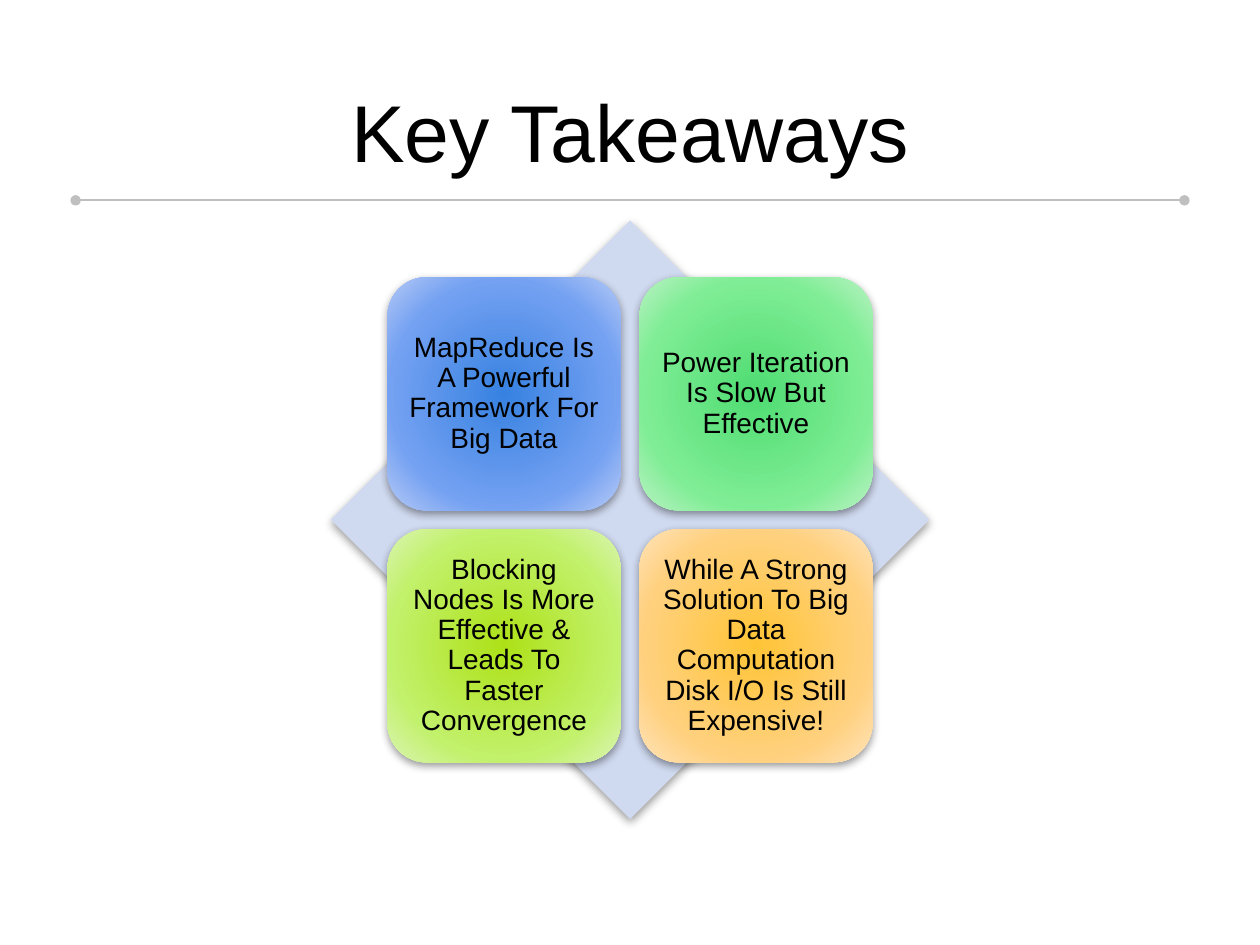
"""Build the Key Takeaways slide: four cards laid over a diamond."""
from pptx import Presentation, util as u
from pptx.dml.color import RGBColor
from pptx.enum import shapes, text
from pptx.oxml import parse_xml
from pptx.oxml.ns import nsdecls, qn

BLACK = RGBColor(0x00, 0x00, 0x00)
RULE_GRAY = RGBColor(0xBF, 0xBF, 0xBF)
PALE_BLUE = RGBColor(0xCF, 0xD9, 0xEF)
BLUES = [RGBColor.from_string(c) for c in ("3782E1", "74A1F2", "B6CAF5")]
GREENS = [RGBColor.from_string(c) for c in ("4FDC72", "7FED95", "BBF2C4")]
LIMES = [RGBColor.from_string(c) for c in ("ADE117", "C2F16C", "DBF4B3")]
ORANGES = [RGBColor.from_string(c) for c in ("FFC436", "FFD17F", "FFE3BB")]
STOPS = (0, 69, 100)
FONT = "Arial"

WIDTH, HEIGHT = u.Inches(10), u.Inches(7.5)
MARGIN = u.Inches(0.6)
DIAMOND = u.Inches(4.75)
DIAMOND_TOP = u.Inches(1.75)
CARD = u.Inches(1.85)
PITCH = u.Inches(2)
INSET = u.Inches(0.07)

TAKEAWAYS = [
    ("MapReduce Is A Powerful Framework For Big Data", BLUES),
    ("Power Iteration Is Slow But Effective", GREENS),
    ("Blocking Nodes Is More Effective & Leads To Faster Convergence", LIMES),
    ("While A Strong Solution To Big Data Computation Disk I/O Is Still Expensive!", ORANGES),
]


def add_soft_shape(parent, preset, left, top, size):
    shape = parent.shapes.add_shape(preset, left, top, size, size)
    shape.line.fill.background()
    shape.shadow.inherit = False
    shape._element.spPr.find(qn("a:effectLst")).append(parse_xml(
        f'<a:outerShdw {nsdecls("a")} blurRad="{u.Pt(5)}" dist="{u.Pt(2)}" '
        'dir="5400000" rotWithShape="0"><a:srgbClr val="000000">'
        '<a:alpha val="40000"/></a:srgbClr></a:outerShdw>'))
    return shape


def write(paragraph, words, size):
    paragraph.alignment = text.PP_ALIGN.CENTER
    run = paragraph.add_run()
    run.text = words
    run.font.name, run.font.size = FONT, u.Pt(size)
    run.font.color.rgb = BLACK


deck = Presentation()
deck.slide_width, deck.slide_height = WIDTH, HEIGHT
slide = deck.slides.add_slide(deck.slide_layouts[5])

heading = slide.shapes.title
heading.left, heading.top = MARGIN, u.Inches(0.29)
heading.width, heading.height = WIDTH - 2 * MARGIN, u.Inches(1.18)
heading.text_frame.vertical_anchor = text.MSO_ANCHOR.BOTTOM
heading.text_frame.auto_size = text.MSO_AUTO_SIZE.NONE
write(heading.text_frame.paragraphs[0], "Key Takeaways", 46)

rule_y = u.Inches(1.59)
rule = slide.shapes.add_connector(
    shapes.MSO_CONNECTOR.STRAIGHT, MARGIN, rule_y, WIDTH - MARGIN, rule_y)
rule.line.color.rgb = RULE_GRAY
rule.line.width = u.Pt(1.25)
for end in ("headEnd", "tailEnd"):
    rule.line._get_or_add_ln().append(
        parse_xml(f'<a:{end} {nsdecls("a")} type="oval"/>'))
rule._element.spPr.append(parse_xml(f'<a:effectLst {nsdecls("a")}/>'))

matrix = slide.shapes.add_group_shape()
diamond = add_soft_shape(matrix, shapes.MSO_SHAPE.DIAMOND,
                         (WIDTH - DIAMOND) // 2, DIAMOND_TOP, DIAMOND)
diamond.fill.solid()
diamond.fill.fore_color.rgb = PALE_BLUE

first_left = (WIDTH - PITCH - CARD) // 2
first_top = DIAMOND_TOP + (DIAMOND - PITCH - CARD) // 2
for index, (takeaway, shades) in enumerate(TAKEAWAYS):
    row, column = divmod(index, 2)
    card = add_soft_shape(matrix, shapes.MSO_SHAPE.ROUNDED_RECTANGLE,
                          first_left + column * PITCH, first_top + row * PITCH, CARD)
    stops = "".join(f'<a:gs pos="{stop * 1000}"><a:srgbClr val="{shade}"/></a:gs>'
                    for stop, shade in zip(STOPS, shades))
    card._element.spPr.find(qn("a:ln")).addprevious(parse_xml(
        f'<a:gradFill {nsdecls("a")} rotWithShape="1"><a:gsLst>{stops}</a:gsLst>'
        '<a:path path="circle"><a:fillToRect l="100000" t="100000" r="100000" '
        'b="100000"/></a:path></a:gradFill>'))
    frame = card.text_frame
    frame.word_wrap = True
    frame.vertical_anchor = text.MSO_ANCHOR.MIDDLE
    frame.margin_left = frame.margin_right = INSET
    frame.margin_top = frame.margin_bottom = INSET
    frame.paragraphs[0].line_spacing = 0.9
    write(frame.paragraphs[0], takeaway, 16)

deck.save("out.pptx")
